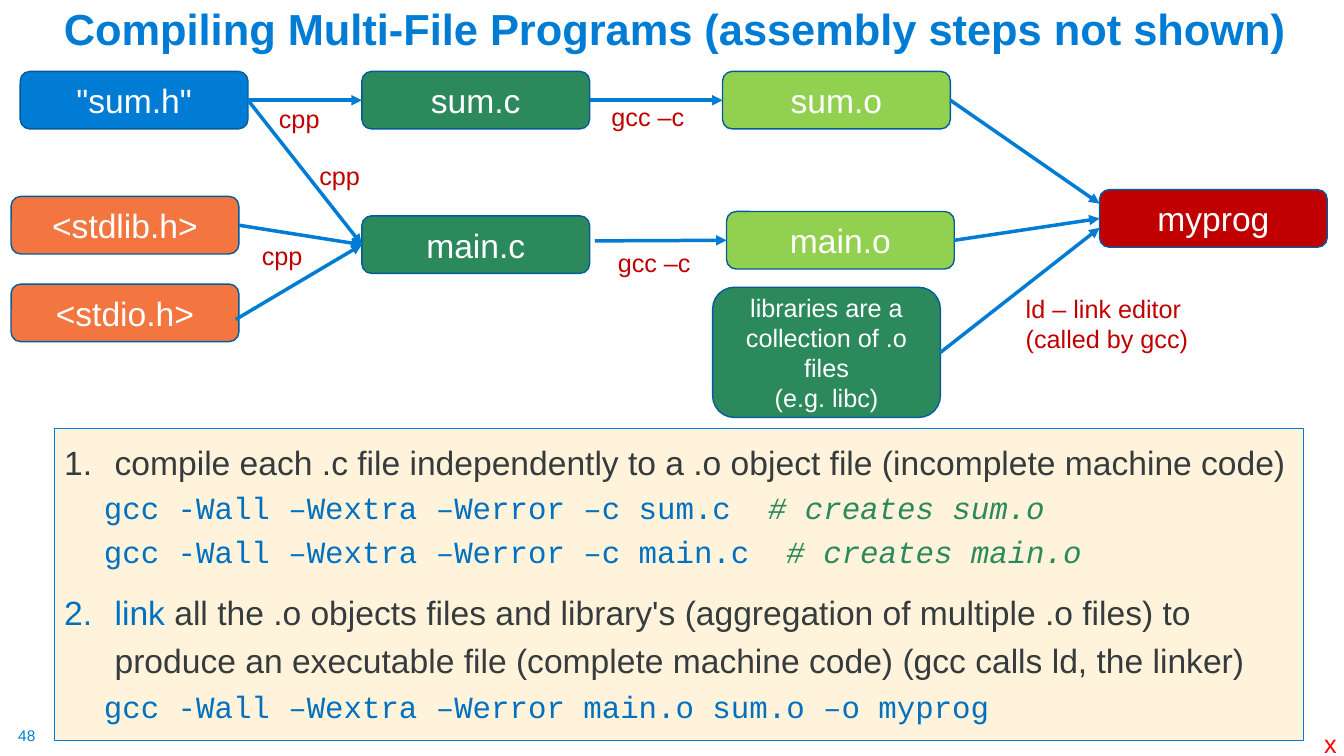
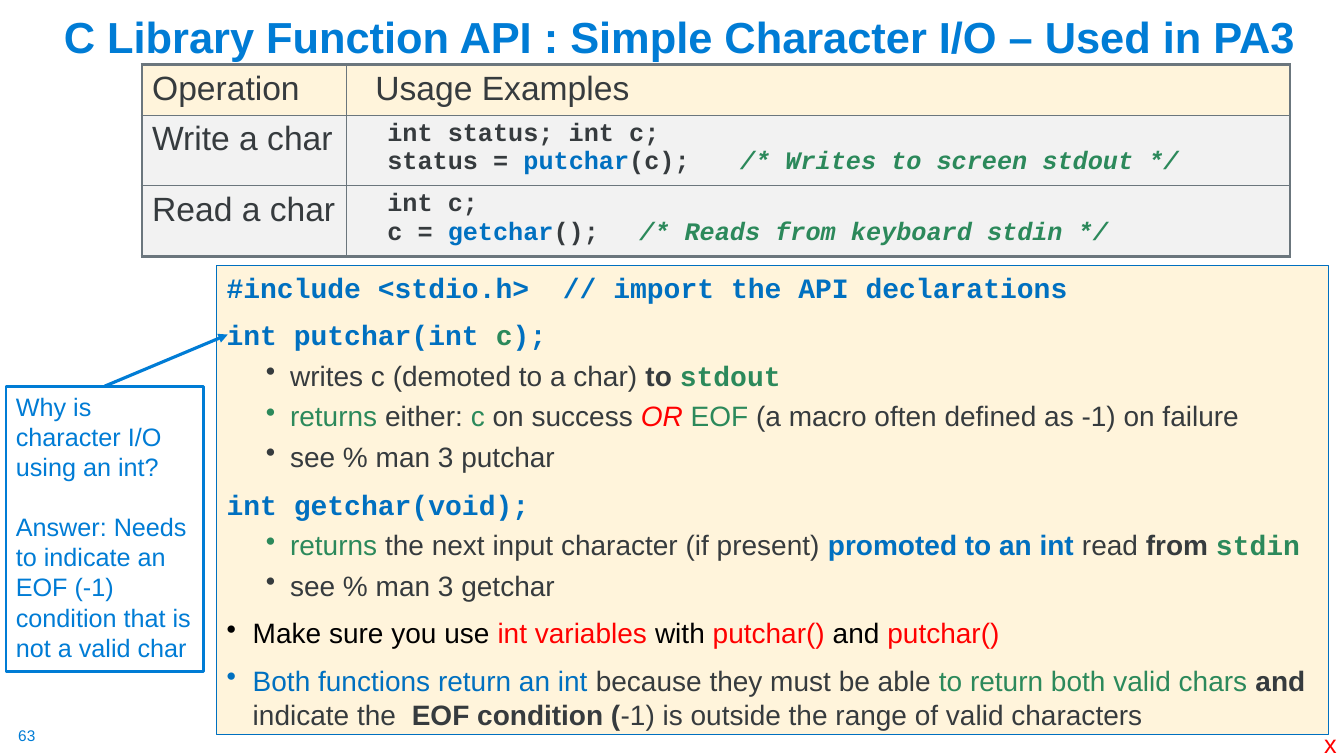
from lxml import etree
from pptx import Presentation
from pptx.dml.color import RGBColor
from pptx.enum.shapes import MSO_CONNECTOR, MSO_SHAPE
from pptx.enum.text import MSO_ANCHOR, MSO_AUTO_SIZE, PP_ALIGN
from pptx.oxml.ns import qn
from pptx.util import Cm, Pt

RECT, ROUND = MSO_SHAPE.RECTANGLE, MSO_SHAPE.ROUNDED_RECTANGLE
STRAIGHT = MSO_CONNECTOR.STRAIGHT
TOP, MIDDLE, BOTTOM = MSO_ANCHOR.TOP, MSO_ANCHOR.MIDDLE, MSO_ANCHOR.BOTTOM
LEFT, CENTER = PP_ALIGN.LEFT, PP_ALIGN.CENTER
FIT_SHAPE = MSO_AUTO_SIZE.SHAPE_TO_FIT_TEXT
SITE_TOP, SITE_LEFT, SITE_RIGHT = 0, 1, 3

BLUE = RGBColor(0x00, 0x7C, 0xD5)
EDGE = RGBColor(0x00, 0x5C, 0x9E)
CODE_BLUE = RGBColor(0x00, 0x70, 0xC0)
GREEN = RGBColor(0x2C, 0x89, 0x5B)
LIME = RGBColor(0x92, 0xD0, 0x50)
ORANGE = RGBColor(0xF3, 0x75, 0x3F)
DARK_RED = RGBColor(0xC0, 0x00, 0x00)
RED = RGBColor(0xFF, 0x00, 0x00)
INK = RGBColor(0x36, 0x3B, 0x3E)
GREY = RGBColor(0x6B, 0x76, 0x7D)
PALE = RGBColor(0xF2, 0xF2, 0xF2)
CREAM = RGBColor(0xFF, 0xF4, 0xDB)
BLACK = RGBColor(0x00, 0x00, 0x00)
WHITE = RGBColor(0xFF, 0xFF, 0xFF)

SANS, MONO = "Arial", "Courier New"
NODE_W, NODE_H = 5.74, 1.45

# Run formats
STRONG = dict(bold=True)
IN_BLUE, IN_GREEN = dict(color=CODE_BLUE), dict(color=GREEN)
IN_RED, IN_BLACK = dict(color=RED), dict(color=BLACK)
COMMENT = dict(color=GREEN, italic=True)
STREAM = dict(color=GREEN, bold=True, font=MONO)

# Paragraph formats
COMMAND = dict(size=22, font=MONO, color=CODE_BLUE, left=1, level=1, before=5)
PROTOTYPE = dict(size=20, font=MONO, color=CODE_BLUE, bold=True, before=10)
POINT = dict(size=20, left=0.66, hang=0.66, bullet="•", before=10)
SUBPOINT = dict(size=20, left=1.6, hang=0.61, bullet="•", level=1, before=5)
CELL_CODE = dict(size=18, font=MONO, bold=True, tab=10.67)


def add_xml(parent, tag, **attrs):
    return etree.SubElement(parent, qn(tag), {k: str(v) for k, v in attrs.items()})


def write(tf, *runs, size=24, font=SANS, color=INK, bold=False, italic=False,
          align=LEFT, before=0, line=None, left=0, hang=0, level=0,
          bullet=None, number=None, tab=None):
    """Add a paragraph; a run is a string or (string, overrides)."""
    first = not tf.paragraphs[0].runs
    p = tf.paragraphs[0] if first else tf.add_paragraph()
    pPr = p._p.get_or_add_pPr()
    pPr.set("marL", str(Cm(left)))
    pPr.set("indent", str(-Cm(hang)))
    if bullet:
        add_xml(pPr, "a:buChar", char=bullet)
    elif number:
        add_xml(pPr, "a:buAutoNum", type="arabicPeriod", startAt=number)
    if tab:
        add_xml(add_xml(pPr, "a:tabLst"), "a:tab", pos=Cm(tab), algn="l")
    p.level, p.alignment = level, align
    if line:
        p.line_spacing = line
    p.space_before = Pt(0 if first else before)
    base = dict(size=size, font=font, color=color, bold=bold, italic=italic)
    for run in runs:
        text, changes = (run, {}) if isinstance(run, str) else run
        look = {**base, **changes}
        r = p.add_run()
        r.text = text
        r.font.size, r.font.name = Pt(look["size"]), look["font"]
        r.font.bold, r.font.italic = look["bold"], look["italic"]
        r.font.color.rgb = look["color"]


class Deck:
    """The presentation, its style and the slide being filled."""

    def __init__(self):
        self.prs = Presentation()
        self.prs.slide_width, self.prs.slide_height = Cm(33.87), Cm(19.05)

    def new_slide(self, title, number, title_h):
        self.s = self.prs.slides.add_slide(self.prs.slide_layouts[6])
        tf = self.textbox(1.36, 0.23, 31.7, title_h)
        tf.word_wrap, tf.vertical_anchor = True, BOTTOM
        write(tf, title, size=31, color=BLUE, bold=True, line=0.9)
        tf = self.textbox(0.46, 18.31, 0.48, 0.48)
        tf.margin_left = tf.margin_right = tf.margin_top = tf.margin_bottom = 0
        write(tf, number, size=11, color=BLUE)
        self.label(33.12, 18.24, 0.84, "x", color=RED)

    def textbox(self, x, y, w, h):
        tf = self.s.shapes.add_textbox(Cm(x), Cm(y), Cm(w), Cm(h)).text_frame
        tf.word_wrap = False
        return tf

    def label(self, x, y, w, *lines, color=DARK_RED):
        tf = self.textbox(x, y, w, 0.25 + 0.77 * len(lines))
        tf.auto_size = FIT_SHAPE
        for text in lines:
            write(tf, text, size=18, color=color)

    def box(self, x, y, w, h, fill, edge, weight, kind=RECT, anchor=TOP):
        sp = self.s.shapes.add_shape(kind, Cm(x), Cm(y), Cm(w), Cm(h))
        sp.shadow.inherit = False
        sp.fill.solid()
        sp.fill.fore_color.rgb = fill
        sp.line.color.rgb, sp.line.width = edge, Pt(weight)
        sp.text_frame.word_wrap = True
        sp.text_frame.vertical_anchor = anchor
        return sp

    def node(self, x, y, fill, *lines, h=NODE_H, size=24):
        sp = self.box(x, y, NODE_W, h, fill, EDGE, 1, ROUND, MIDDLE)
        for text in lines:
            write(sp.text_frame, text, size=size, color=WHITE, align=CENTER)
        return sp

    def arrow(self, start, end, weight=2.5, site=SITE_RIGHT):
        """Each end is a shape to join or an (x, y) point."""
        points = [e if isinstance(e, tuple) else (0, 0) for e in (start, end)]
        line = self.s.shapes.add_connector(
            STRAIGHT, *(Cm(v) for point in points for v in point))
        if not isinstance(start, tuple):
            line.begin_connect(start, site)
        if not isinstance(end, tuple):
            line.end_connect(end, SITE_LEFT)
        line.line.color.rgb, line.line.width = BLUE, Pt(weight)
        spPr = line._element.spPr
        add_xml(spPr.find(qn("a:ln")), "a:tailEnd", type="triangle")
        add_xml(spPr, "a:effectLst")

    def table(self, x, y, widths, heights):
        """Add a ruled table with a cream header row."""
        rows, cols = len(heights), len(widths)
        table = self.s.shapes.add_table(
            rows, cols, Cm(x), Cm(y), Cm(sum(widths)), Cm(sum(heights))).table
        table.first_row = table.horz_banding = False
        for col, w in zip(table.columns, widths):
            col.width = Cm(w)
        for i, h in enumerate(heights):
            table.rows[i].height = Cm(h)
            for j in range(cols):
                cell = table.cell(i, j)
                cell.margin_right = Cm(0.1)
                outer = dict(L=j == 0, R=j == cols - 1, T=i == 0, B=i == rows - 1)
                for side, is_outer in outer.items():
                    ln = add_xml(cell._tc.get_or_add_tcPr(), "a:ln" + side,
                                 w=Pt(2.25 if is_outer else 1))
                    add_xml(add_xml(ln, "a:solidFill"), "a:srgbClr", val=GREY)
                cell.fill.solid()
                cell.fill.fore_color.rgb = PALE if i else CREAM
        return table


def compiling_slide(deck):
    deck.new_slide("Compiling Multi-File Programs (assembly steps not shown)", "48", 1.27)

    tf = deck.box(1.37, 10.8, 31.47, 7.85, CREAM, BLUE, 0.75).text_frame
    step = dict(left=1.27, hang=1.27, line=1.2, before=10)
    write(tf, "compile each .c file independently to a .o object file "
          "(incomplete machine code)", number=1, **step)
    for name in ("sum", "main"):
        write(tf, f"gcc -Wall –Wextra –Werror –c {name}.c  ",
              (f"# creates {name}.o", COMMENT), **COMMAND)
    write(tf, ("link", IN_BLUE),
          " all the .o objects files and library's (aggregation of multiple .o files) "
          "to produce an executable file (complete machine code) "
          "(gcc calls ld, the linker)", number=2, **step)
    write(tf, "gcc -Wall –Wextra –Werror main.o sum.o –o myprog", **COMMAND)

    libraries = deck.node(17.96, 7.24, GREEN, "libraries are a", "collection of .o files",
                          "(e.g. libc)", h=3.28, size=18)
    sum_h = deck.node(0.51, 1.8, BLUE, '"sum.h"')
    sum_c = deck.node(9.12, 1.8, GREEN, "sum.c")
    sum_o = deck.node(18.21, 1.8, LIME, "sum.o")
    stdlib_h = deck.node(0.28, 4.95, ORANGE, "<stdlib.h>")
    deck.node(0.28, 7.16, ORANGE, "<stdio.h>")
    main_c = deck.node(9.12, 5.44, GREEN, "main.c")
    main_o = deck.node(18.31, 5.33, LIME, "main.o")
    myprog = deck.node(27.71, 4.78, DARK_RED, "myprog")

    for start, end in (
            (sum_h, sum_c), (sum_h, main_c), (stdlib_h, main_c), ((5.94, 8.05), main_c),
            (sum_c, sum_o), ((14.99, 6.07), main_o), (main_o, myprog),
            (sum_o, (27.71, 5.13)), (libraries, (27.71, 5.74))):
        deck.arrow(start, end)

    for x, y in ((6.78, 2.49), (7.8, 3.91), (6.35, 5.94)):
        deck.label(x, y, 1.55, "cpp")
    for x, y in ((15.16, 2.44), (15.32, 6.12)):
        deck.label(x, y, 2.54, "gcc –c")
    deck.label(25.6, 7.26, 4.65, "ld – link editor", "(called by gcc)")


def character_io_slide(deck):
    deck.new_slide("C Library Function API : Simple Character I/O – Used in PA3", "63", 1.47)

    tf = deck.box(5.46, 6.68, 28.02, 11.84, CREAM, CODE_BLUE, 0.75).text_frame
    write(tf, "#include <stdio.h>  // import the API declarations", **PROTOTYPE)
    write(tf, "int putchar(int ", ("c", IN_GREEN), ");", **PROTOTYPE)
    write(tf, "writes c (demoted to a char) ", ("to ", STRONG), ("stdout", STREAM), **SUBPOINT)
    write(tf, ("returns", IN_GREEN), " either: ", ("c", IN_GREEN), " on success ",
          ("OR ", dict(color=RED, italic=True)), ("EOF", IN_GREEN),
          " (a macro often defined as -1) on failure", **SUBPOINT)
    write(tf, "see % man 3 putchar", **SUBPOINT)
    write(tf, "int getchar(void);", **PROTOTYPE)
    write(tf, ("returns", IN_GREEN), " the next input character (if present) ",
          ("promoted to an int ", dict(color=CODE_BLUE, bold=True)), "read ",
          ("from ", STRONG), ("stdin", STREAM), **SUBPOINT)
    write(tf, "see % man 3 getchar", **SUBPOINT)
    write(tf, ("Make sure you use ", IN_BLACK), ("int variables ", IN_RED),
          ("with ", IN_BLACK), ("putchar() ", IN_RED), ("and ", IN_BLACK),
          ("putchar()", IN_RED), **POINT)
    write(tf, ("Both functions return an int ", IN_BLUE), "because they must be able ",
          ("to return both valid chars ", IN_GREEN), ("and", STRONG), " indicate the  ",
          ("EOF condition (", STRONG), "-1) is outside the range of valid characters",
          **POINT)

    table = deck.table(3.58, 1.63, (5.16, 23.77), (1.27, 1.65, 1.65))
    usage = table.cell(0, 1)
    usage.margin_left = Cm(0.72)
    write(table.cell(0, 0).text_frame, "Operation")
    write(usage.text_frame, "Usage Examples")
    operations = (
        ("Write a char", "int status; int c;", "status = ", "putchar", "(c);",
         "/* Writes to screen stdout */"),
        ("Read a char", "int c;", "c = ", "getchar", "();",
         "/* Reads from keyboard stdin */"))
    for i, (name, declaration, target, call, args, remark) in enumerate(operations, 1):
        write(table.cell(i, 0).text_frame, name)
        cell = table.cell(i, 1)
        cell.margin_left = Cm(1.02)
        write(cell.text_frame, declaration, **CELL_CODE)
        write(cell.text_frame, target, (call, IN_BLUE), args + "\t", (remark, COMMENT),
              **CELL_CODE)

    note = deck.box(0.15, 9.73, 4.98, 7.19, WHITE, BLUE, 2)
    for text in ("Why is character I/O using an int?",
                 "Answer: Needs to indicate an EOF (-1) condition that is not a valid char"):
        write(note.text_frame, text, size=18, color=BLUE, before=21)
    deck.arrow(note, (5.74, 8.43), weight=2.25, site=SITE_TOP)


def main():
    deck = Deck()
    compiling_slide(deck)
    character_io_slide(deck)
    deck.prs.save("out.pptx")


if __name__ == "__main__":
    main()
